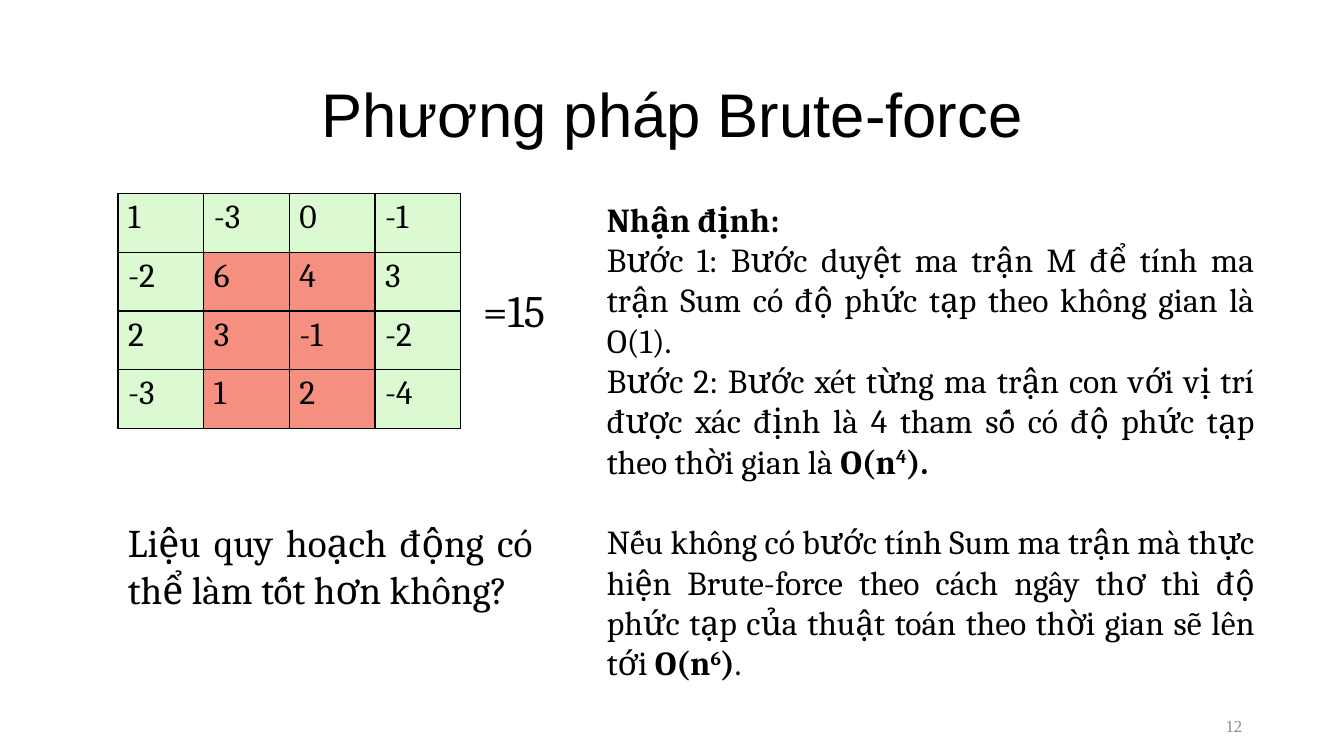
import pptx
import pptx.util
import pptx.dml.color
import pptx.enum.text
import pptx.oxml
import pptx.oxml.ns

Inches = pptx.util.Inches
Pt = pptx.util.Pt
Align = pptx.enum.text.PP_ALIGN
Anchor = pptx.enum.text.MSO_ANCHOR

INK, GREEN, RED, GRAY = "000000", "DBFAD2", "F58F7F", "8C8C8C"

GRID = [
    [1, -3, 0, -1],
    [-2, 6, 4, 3],
    [2, 3, -1, -2],
    [-3, 1, 2, -4],
]

# Each paragraph is a list of (text, style); styles: "" plain, "b" bold, "bs" bold raised
NOTES = [
    [("Nhận định:", "b")],
    [("Bước 1: Bước duyệt ma trận M để tính ma trận Sum có độ phức tạp "
      "theo không gian là O(1).", "")],
    [("Bước 2: Bước xét từng ma trận con với vị trí được xác định là 4 tham số "
      "có độ phức tạp theo thời gian là ", ""),
     ("O(n", "b"), ("4", "bs"), (").", "b")],
    [("Nếu không có bước tính Sum ma trận mà thực hiện Brute-force theo cách "
      "ngây thơ thì độ phức tạp của thuật toán theo thời gian sẽ lên tới ", ""),
     ("O(n", "b"), ("6", "bs"), (")", "b"), (".", "")],
]


def color(code):
    return pptx.dml.color.RGBColor.from_string(code)


def assign(item, **values):
    for name, value in values.items():
        setattr(item, name, value)


def place(shape, box):
    sides = ("left", "top", "width", "height")
    assign(shape, **{side: Inches(size) for side, size in zip(sides, box)})


def write(para, runs, size, font="Cambria", ink=INK, **form):
    assign(para, **form)
    for text, style in runs:
        run = para.add_run()
        run.text = text
        assign(run.font, size=Pt(size), name=font, bold="b" in style)
        run.font.color.rgb = color(ink)
        if "s" in style:
            run._r.get_or_add_rPr().set("baseline", "30000")


def add_title(slide, box, text):
    title = slide.shapes.title
    place(title, box)
    title.text_frame.vertical_anchor = Anchor.MIDDLE
    write(title.text_frame.paragraphs[0], [(text, "")], 44, "Arial",
          alignment=Align.CENTER, line_spacing=0.9)


def add_text(slide, box, paras, size, anchor=Anchor.TOP, **form):
    frame = slide.shapes.add_textbox(*map(Inches, box)).text_frame
    assign(frame, word_wrap=True, vertical_anchor=anchor)
    for i, runs in enumerate(paras):
        para = frame.add_paragraph() if i else frame.paragraphs[0]
        write(para, runs, size, **form)
    return frame


def add_border(cell):
    props = cell._tc.get_or_add_tcPr()
    for side in "LRTB":
        props.append(pptx.oxml.parse_xml(
            f'<a:ln{side} {pptx.oxml.ns.nsdecls("a")} w="12700"><a:solidFill>'
            f'<a:srgbClr val="{INK}"/></a:solidFill></a:ln{side}>'))


def add_grid(slide, box, grid):
    rows, cols = len(grid), len(grid[0])
    table = slide.shapes.add_table(rows, cols, *map(Inches, box)).table
    assign(table, first_row=False, horz_banding=False)
    for r, row in enumerate(grid):
        for c, value in enumerate(row):
            cell = table.cell(r, c)
            add_border(cell)
            # The chosen submatrix is red
            chosen = r >= 1 and c in (1, 2)
            cell.fill.solid()
            cell.fill.fore_color.rgb = color(RED if chosen else GREEN)
            write(cell.text_frame.paragraphs[0], [(str(value), "")], 24)


def add_notes(slide, box):
    frame = add_text(slide, box, NOTES, 24, alignment=Align.JUSTIFY)
    frame.paragraphs[-1].space_before = Pt(29)


def build(slide):
    # Heading
    add_title(slide, (1.17, 0.42, 11, 1.5), "Phương pháp Brute-force")
    # Matrix and its sum
    add_grid(slide, (1.17, 1.92, 3.4, 2.33), GRID)
    add_text(slide, (4.69, 2.76, 1.1, 0.64), [[("=15", "")]], 32)
    # Remarks and closing question
    add_notes(slide, (5.92, 1.92, 6.62, 4.95))
    add_text(slide, (1.17, 5.09, 4.21, 1.04),
             [[("Liệu quy hoạch động có thể làm tốt hơn không?", "")]],
             28, alignment=Align.JUSTIFY)
    # Page number
    add_text(slide, (9.42, 6.95, 3, 0.4), [[("12", "")]], 12, Anchor.BOTTOM,
             font="Times New Roman", ink=GRAY, alignment=Align.RIGHT)


def main():
    deck = pptx.Presentation()
    assign(deck, slide_width=Inches(13.33), slide_height=Inches(7.5))
    build(deck.slides.add_slide(deck.slide_layouts[5]))
    deck.save("out.pptx")


if __name__ == "__main__":
    main()
